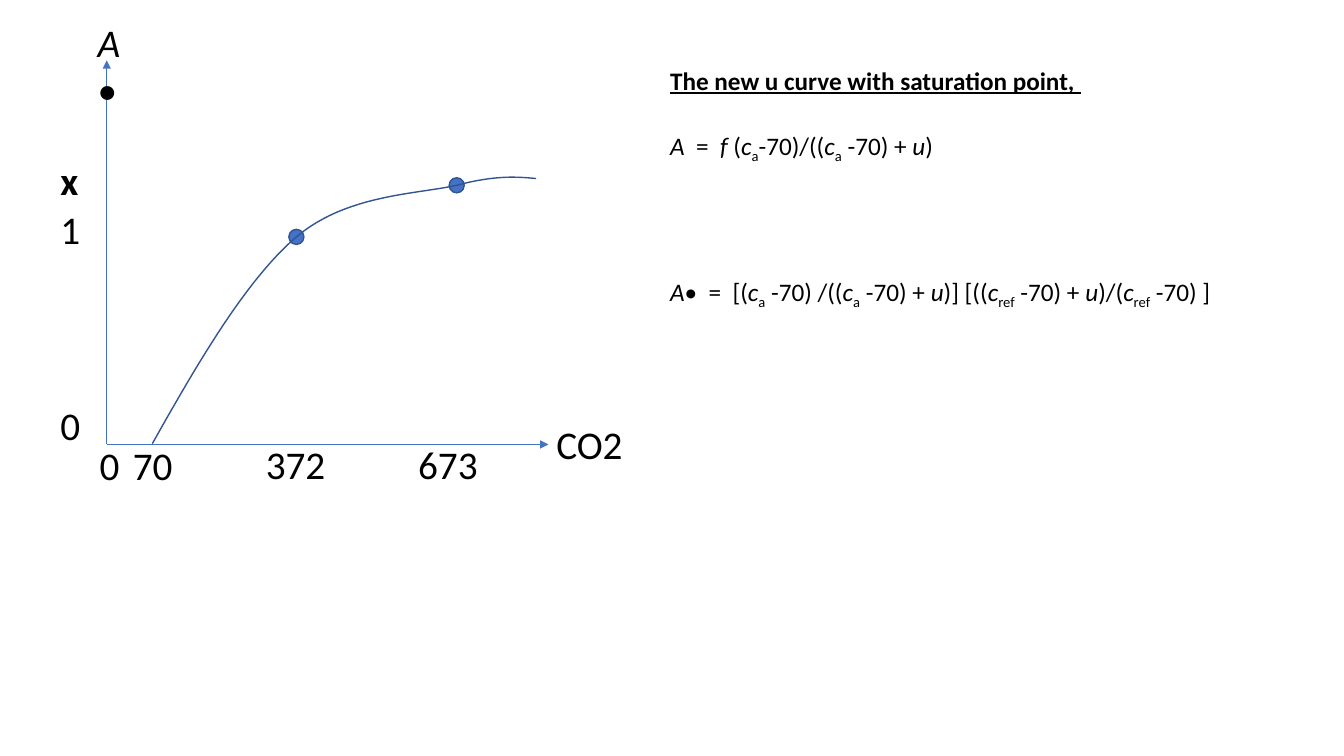
import pptx
import pptx.util
import pptx.dml.color
import pptx.enum.shapes
import pptx.enum.text
import pptx.oxml
import pptx.oxml.ns
from pptx.util import Cm

COLORS = {"text": "000000", "axis": "4472C4", "marker": "4472C4", "curve": "325491"}
RUN_FORMATS = {"n": {}, "i": {"italic": True}, "b": {"bold": True},
               "h": {"bold": True, "underline": True}, "s": {}}


def rgb(name):
    return pptx.dml.color.RGBColor.from_string(COLORS[name])


def bezier(start, control_1, control_2, end, steps=24):
    for step in range(1, steps + 1):
        t = step / steps
        weights = ((1 - t) ** 3, 3 * t * (1 - t) ** 2, 3 * t ** 2 * (1 - t), t ** 3)
        yield tuple(sum(w * point[axis] for w, point in
                        zip(weights, (start, control_1, control_2, end)))
                    for axis in (0, 1))


class SlideBuilder:
    font = "Calibri"

    def __init__(self, slide):
        self.slide = slide

    def outline(self, shape, color, width):
        shape.line.color.rgb = rgb(color)
        shape.line.width = pptx.util.Pt(width)

    def axis(self, start, end):
        arrow = self.slide.shapes.add_connector(
            pptx.enum.shapes.MSO_CONNECTOR.STRAIGHT, *map(Cm, start + end))
        self.outline(arrow, "axis", 0.5)
        head = pptx.oxml.parse_xml(
            f'<a:tailEnd {pptx.oxml.ns.nsdecls("a")} type="triangle"/>')
        arrow.line._get_or_add_ln().append(head)
        arrow._element.spPr.append(
            pptx.oxml.parse_xml(f'<a:effectLst {pptx.oxml.ns.nsdecls("a")}/>'))

    def marker(self, x, y, size=0.38):
        dot = self.slide.shapes.add_shape(
            pptx.enum.shapes.MSO_SHAPE.OVAL,
            *map(Cm, (x - size / 2, y - size / 2, size, size)))
        dot.shadow.inherit = False
        dot.fill.solid()
        dot.fill.fore_color.rgb = rgb("marker")
        self.outline(dot, "curve", 1)

    def curve(self, start, *segments):
        points = [start]
        for segment in segments:
            points.extend(bezier(points[-1], *segment))
        builder = self.slide.shapes.build_freeform(*map(Cm, start), scale=1.0)
        builder.add_line_segments([(Cm(x), Cm(y)) for x, y in points[1:]], close=False)
        path = builder.convert_to_shape()
        path.shadow.inherit = False
        path.fill.background()
        self.outline(path, "curve", 1)

    def text(self, box, *paragraphs, size=28, gap=0, align="LEFT"):
        frame = self.slide.shapes.add_textbox(*map(Cm, box)).text_frame
        frame.word_wrap = True
        for index, content in enumerate(paragraphs):
            paragraph = frame.add_paragraph() if index else frame.paragraphs[0]
            paragraph.alignment = getattr(pptx.enum.text.PP_ALIGN, align)
            if index:
                paragraph.space_before = pptx.util.Pt(gap)
            for part in content.split("|"):
                self.run(paragraph, part[0], part[1:], size)

    def run(self, paragraph, style, words, size):
        run = paragraph.add_run()
        run.text = words
        run.font.color.rgb = rgb("text")
        formats = {"name": self.font, "size": pptx.util.Pt(size), **RUN_FORMATS[style]}
        for attribute, value in formats.items():
            setattr(run.font, attribute, value)
        if style == "s":
            run.font._element.set("baseline", "-25000")


deck = pptx.Presentation()
deck.slide_width, deck.slide_height = Cm(33.87), Cm(19.05)
page = SlideBuilder(deck.slides.add_slide(deck.slide_layouts[6]))

origin = (2.69, 11.2)
page.axis(origin, (2.69, 1.52))
page.axis(origin, (13.82, 11.2))

axis_labels = [
    ("nCO2", 13.77, 10.46), ("n372", 6.45, 10.97), ("n673", 10.29, 10.97),
    ("bx", 1.27, 3.81), ("n1", 1.27, 5.05), ("n0", 2.26, 11),
    ("n0", 1.27, 10), ("n70", 3.1, 11),
]
for label, left, top in axis_labels:
    page.text((left, top, 2.7, 1.45), label)
page.text((2.21, 0.33, 1.55, 2.6), "iA", "n•")

curve_joints = [(7.47, 5.97), (11.51, 4.67)]
for joint in curve_joints:
    page.marker(*joint)
page.curve((3.84, 11.18),
           ((5, 9.12), (6.2, 7.06), curve_joints[0]),
           ((8.74, 4.9), (10.49, 4.9), curve_joints[1]),
           ((12.45, 4.42), (13, 4.45), (13.51, 4.5)))

page.text((16.64, 1.52, 12, 1.02), "hThe new u curve with saturation point, ", size=18)
page.text((16.64, 3.15, 16.94, 4.62),
          "iA|n  =  |if|n (|ic|sa|n-70)/((|ic|sa|n -70) + |iu|n) ",
          "iA|n•  =  [(|ic|sa|n -70) /((|ic|sa|n -70) + |iu|n)] [((|ic|sref|n -70) + "
          "|iu|n)/(|ic|sref|n -70) ]",
          size=18, gap=80, align="JUSTIFY")

deck.save("out.pptx")
